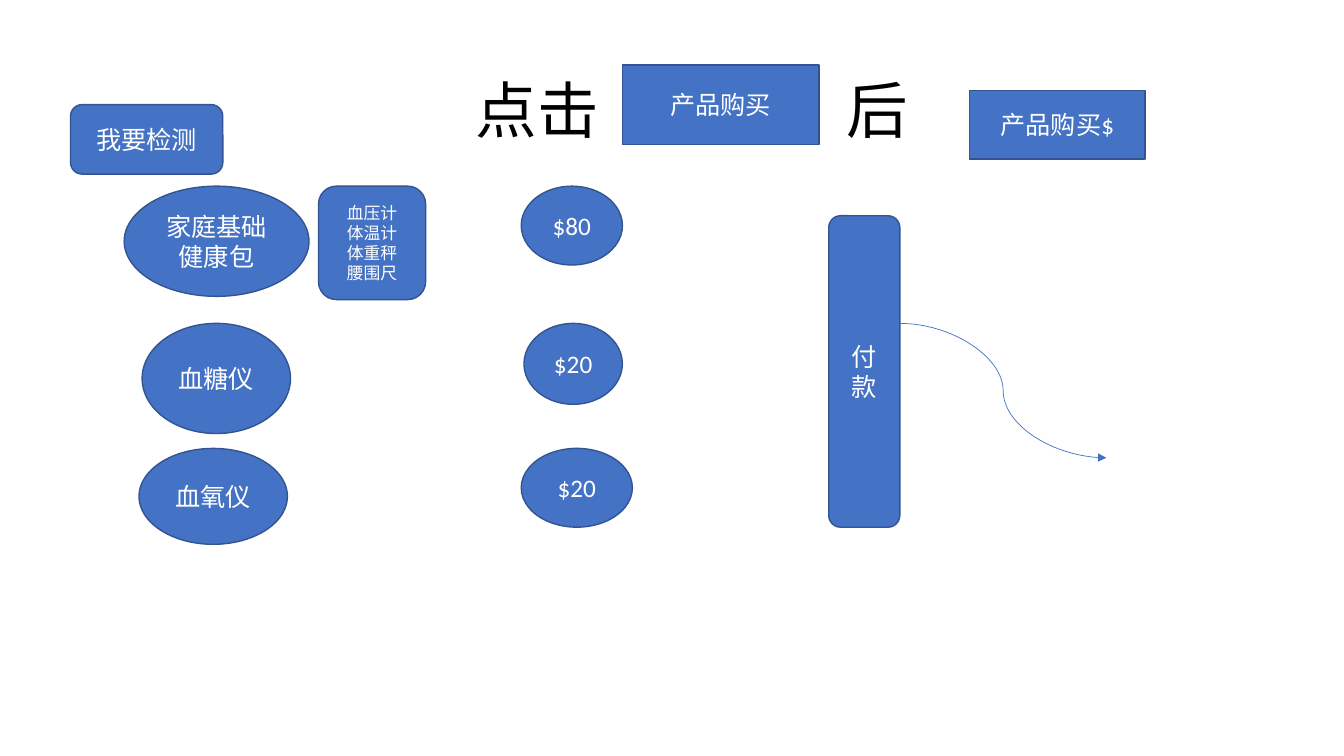
import pptx
import pptx.util
import pptx.dml.color
import pptx.enum.shapes
import pptx.enum.text
import pptx.oxml
import pptx.oxml.ns

Pt = pptx.util.Pt
SHAPES = pptx.enum.shapes.MSO_SHAPE
MIDDLE = pptx.enum.text.MSO_ANCHOR.MIDDLE
CENTER = pptx.enum.text.PP_ALIGN.CENTER


def paint(color_format, hex_string):
    """Give a colour format the colour of a hex string."""
    color_format.rgb = pptx.dml.color.RGBColor.from_string(hex_string)


def write(frame, text, size, color):
    """Put vertically centred text in a frame and format its runs."""
    frame.text = text
    frame.word_wrap = True
    frame.vertical_anchor = MIDDLE
    for paragraph in frame.paragraphs:
        for run in paragraph.runs:
            run.font.name = "Calibri"
            run.font.size = Pt(size)
            paint(run.font.color, color)


deck = pptx.Presentation()
deck.slide_width, deck.slide_height = Pt(960), Pt(540)
slide = deck.slides.add_slide(deck.slide_layouts[6])

# Heading words on either side of the purchase button
for word, left, width in [("点击", 340, 100), ("后", 605, 60)]:
    heading = slide.shapes.add_textbox(Pt(left), Pt(28.8), Pt(width), Pt(104.4))
    write(heading.text_frame, word, 44, "000000")
    heading.text_frame.margin_left = heading.text_frame.margin_right = 0
    heading.text_frame.paragraphs[0].line_spacing = 0.9

# Buttons, products, prices and payment: kind, text, size, left, top, width, height
kit_contents = "血压计\n体温计\n体重秤\n腰围尺"
steps = [
    (SHAPES.RECTANGLE, "产品购买", 18, 444.5, 46.3, 140.5, 57),
    (SHAPES.OVAL, "家庭基础健康包", 18, 88.7, 133, 132, 78.7),
    (SHAPES.ROUNDED_RECTANGLE, kit_contents, 12, 227.5, 133, 76.5, 81),
    (SHAPES.OVAL, "血糖仪", 18, 101.5, 231, 106, 78.7),
    (SHAPES.OVAL, "血氧仪", 18, 99.3, 320.3, 106, 68.5),
    (SHAPES.OVAL, "$80", 18, 372.3, 133, 72.3, 56.3),
    (SHAPES.OVAL, "$20", 18, 374.3, 231, 70.3, 57.8),
    (SHAPES.ROUNDED_RECTANGLE, "我要检测", 18, 50.4, 74.7, 108.8, 49.7),
    (SHAPES.RECTANGLE, "产品购买$", 18, 692.5, 64.7, 125.5, 49),
    (SHAPES.OVAL, "$20", 18, 372.3, 320.3, 79.4, 56.3),
    (SHAPES.ROUNDED_RECTANGLE, "付款", 18, 592, 154.1, 50.8, 222.5),
]
for kind, text, size, left, top, width, height in steps:
    step = slide.shapes.add_shape(kind, Pt(left), Pt(top), Pt(width), Pt(height))
    step.shadow.inherit = False
    step.fill.solid()
    paint(step.fill.fore_color, "4472C4")
    paint(step.line.color, "325491")
    step.line.width = Pt(1)
    write(step.text_frame, text, size, "FFFFFF")
    for paragraph in step.text_frame.paragraphs:
        paragraph.alignment = CENTER

# Curved arrow leaving the payment bar
after_payment = slide.shapes.add_connector(
    pptx.enum.shapes.MSO_CONNECTOR.CURVE, Pt(642.8), Pt(231), Pt(790.3), Pt(327))
paint(after_payment.line.color, "4472C4")
after_payment.line.width = Pt(0.5)
outline = after_payment.line._get_or_add_ln()
arrowhead = pptx.oxml.parse_xml(
    f'<a:tailEnd {pptx.oxml.ns.nsdecls("a")} type="triangle"/>')
outline.append(arrowhead)
no_effects = pptx.oxml.parse_xml(f'<a:effectLst {pptx.oxml.ns.nsdecls("a")}/>')
outline.addnext(no_effects)

deck.save("out.pptx")
